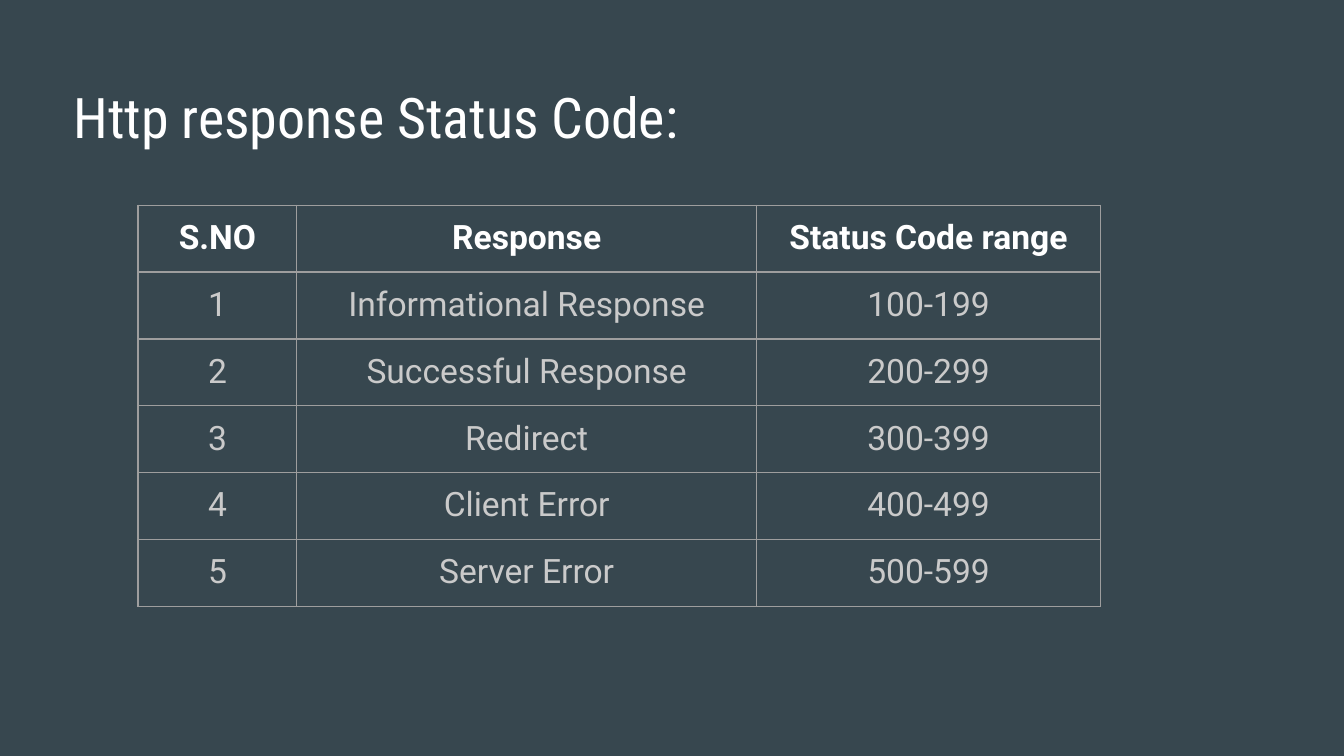
from dataclasses import astuple, dataclass

import pptx
import pptx.dml.color
import pptx.enum.text
import pptx.oxml
import pptx.oxml.ns
import pptx.slide
import pptx.table
import pptx.text.text
import pptx.util
from pptx.util import Cm

BACKGROUND = pptx.dml.color.RGBColor(0x37, 0x47, 0x4F)
WHITE = pptx.dml.color.RGBColor(0xFF, 0xFF, 0xFF)
LIGHT_GREY = pptx.dml.color.RGBColor(0xCA, 0xCA, 0xCA)
BORDER = pptx.dml.color.RGBColor(0x9E, 0x9E, 0x9E)

INSET = Cm(0.25)
ROW_HEIGHT = Cm(1.25)
COLUMN_WIDTHS = (Cm(3), Cm(8.69), Cm(6.5))


@dataclass(frozen=True)
class StatusRow:
    number: str
    response: str
    code_range: str


HEADER = StatusRow("S.NO", "Response", "Status Code range")
RESPONSES = ("Informational Response", "Successful Response", "Redirect",
             "Client Error", "Server Error")
STATUS_ROWS = [HEADER] + [
    StatusRow(str(number), response, f"{number}00-{number}99")
    for number, response in enumerate(RESPONSES, start=1)
]


def add_run(paragraph: pptx.text.text._Paragraph, text: str, font_name: str,
            size: int, color: pptx.dml.color.RGBColor, bold: bool = False) -> None:
    run = paragraph.add_run()
    run.text = text
    run.font.name = font_name
    run.font.size = pptx.util.Pt(size)
    run.font.bold = bold
    run.font.color.rgb = color


def add_title(slide: pptx.slide.Slide, text: str) -> None:
    box = slide.shapes.add_textbox(Cm(1.14), Cm(1.32), Cm(23.67), Cm(1.6))
    frame = box.text_frame
    frame.word_wrap = True
    frame.vertical_anchor = pptx.enum.text.MSO_ANCHOR.TOP
    frame.margin_left = frame.margin_right = INSET
    frame.margin_top = frame.margin_bottom = INSET
    add_run(frame.paragraphs[0], text, "Roboto Condensed", 30, WHITE)


def set_borders(cell: pptx.table._Cell) -> None:
    properties = cell._tc.get_or_add_tcPr()
    # Borders come before the fill in the cell properties
    for index, side in enumerate(("lnL", "lnR", "lnT", "lnB")):
        line = pptx.oxml.parse_xml(
            f'<a:{side} {pptx.oxml.ns.nsdecls("a")} w="{pptx.util.Pt(0.75)}">'
            f'<a:solidFill><a:srgbClr val="{BORDER}"/></a:solidFill>'
            f'<a:prstDash val="solid"/></a:{side}>')
        properties.insert(index, line)


def fill_cell(cell: pptx.table._Cell, text: str, is_header: bool) -> None:
    cell.fill.background()
    cell.margin_left = cell.margin_right = INSET
    cell.margin_top = cell.margin_bottom = INSET
    set_borders(cell)
    paragraph = cell.text_frame.paragraphs[0]
    paragraph.alignment = pptx.enum.text.PP_ALIGN.CENTER
    add_run(paragraph, text, "Roboto", 18, WHITE if is_header else LIGHT_GREY, is_header)


def add_status_table(slide: pptx.slide.Slide, rows: list[StatusRow]) -> None:
    table = slide.shapes.add_table(
        len(rows), len(COLUMN_WIDTHS), Cm(2.61), Cm(3.88),
        sum(COLUMN_WIDTHS), ROW_HEIGHT * len(rows)).table
    table.first_row = table.horz_banding = False
    for column, width in zip(table.columns, COLUMN_WIDTHS):
        column.width = width
    for row_index, status_row in enumerate(rows):
        table.rows[row_index].height = ROW_HEIGHT
        for column_index, text in enumerate(astuple(status_row)):
            fill_cell(table.cell(row_index, column_index), text, row_index == 0)


def main() -> None:
    presentation = pptx.Presentation()
    presentation.slide_width = Cm(25.4)
    presentation.slide_height = Cm(14.29)
    slide = presentation.slides.add_slide(presentation.slide_layouts[6])

    # Background
    slide.background.fill.solid()
    slide.background.fill.fore_color.rgb = BACKGROUND

    # Title and table
    add_title(slide, "Http response Status Code:")
    add_status_table(slide, STATUS_ROWS)

    presentation.save("out.pptx")


if __name__ == "__main__":
    main()
